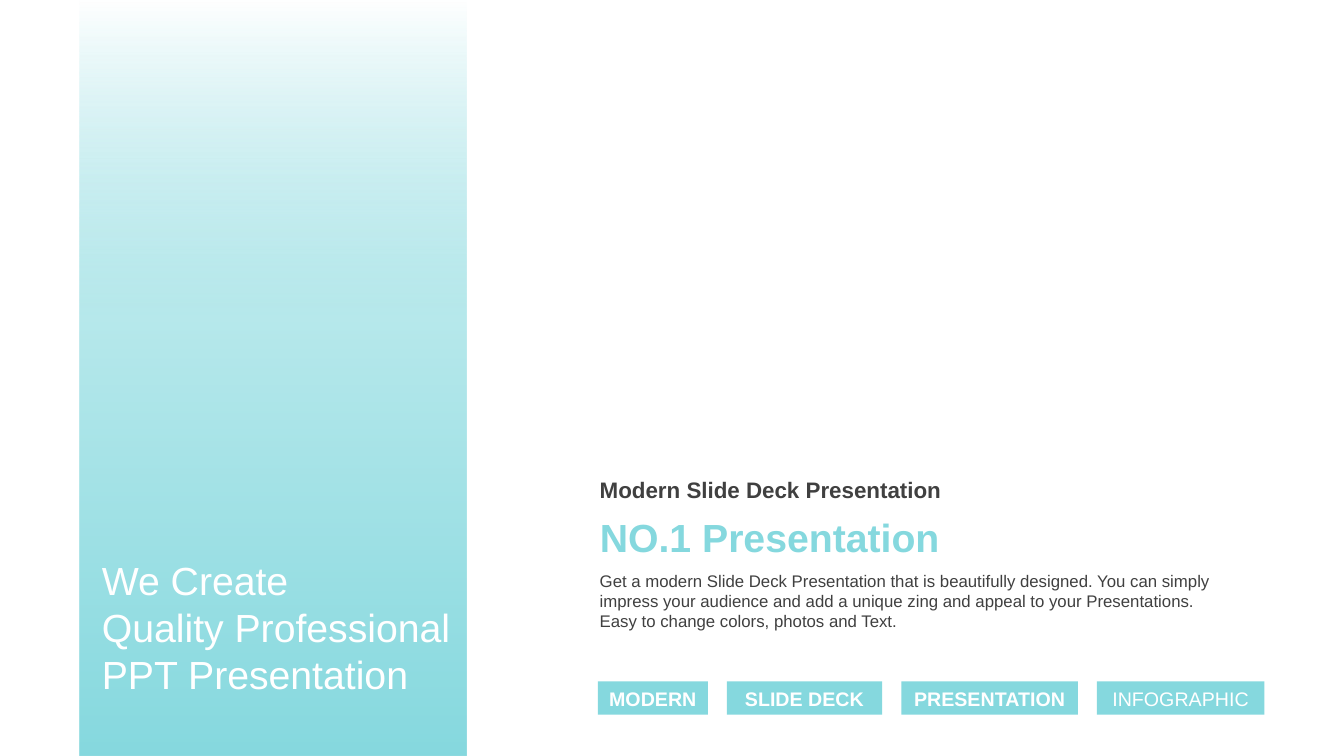
from dataclasses import dataclass

from lxml import etree
from pptx import Presentation
from pptx.dml.color import RGBColor
from pptx.enum.shapes import MSO_SHAPE as Preset
from pptx.enum.text import MSO_ANCHOR as Anchor, MSO_AUTO_SIZE as AutoSize, PP_ALIGN as Align
from pptx.oxml.ns import qn
from pptx.util import Inches, Pt


@dataclass(frozen=True)
class Theme:
    font: str = "Arial"
    accent: str = "85D8DE"
    accent_light: str = "B6E8EB"
    dark: str = "404040"
    white: str = "FFFFFF"
    headline: int = 28
    subtitle: int = 16
    chip: int = 14
    body: int = 12


THEME = Theme()


def write_text(shape, text, *, size, color, bold=False, align=Align.LEFT, anchor=Anchor.TOP,
               insets=(0.1, 0.05, 0.1, 0.05), auto_size=AutoSize.SHAPE_TO_FIT_TEXT,
               line_spacing=1.0, space_before=0):
    """Fill a shape with text, one paragraph per line."""
    frame = shape.text_frame
    frame.text = text
    frame.word_wrap = True
    frame.auto_size = auto_size
    frame.vertical_anchor = anchor
    (frame.margin_left, frame.margin_top,
     frame.margin_right, frame.margin_bottom) = map(Inches, insets)
    for paragraph in frame.paragraphs:
        paragraph.alignment = align
        paragraph.line_spacing = line_spacing
        paragraph.space_before = Pt(space_before)
        font = paragraph.runs[0].font
        font.name = THEME.font
        font.size = Pt(size)
        font.bold = bold
        font.color.rgb = RGBColor.from_string(color)


def add_text(slide, left, top, width, height, text, **text_format):
    box = slide.shapes.add_textbox(*map(Inches, (left, top, width, height)))
    write_text(box, text, **text_format)


def add_block(slide, left, top, width, height):
    block = slide.shapes.add_shape(Preset.RECTANGLE, *map(Inches, (left, top, width, height)))
    block.shadow.inherit = False
    block.fill.solid()
    block.fill.fore_color.rgb = RGBColor.from_string(THEME.accent)
    block.line.fill.background()
    return block


def fade_down(shape, stops):
    """Replace the solid fill by a vertical gradient of (percent, colour, opacity) stops."""
    gradient = etree.Element(qn("a:gradFill"), rotWithShape="1")
    stop_list = etree.SubElement(gradient, qn("a:gsLst"))
    for percent, color, opacity in stops:
        stop = etree.SubElement(stop_list, qn("a:gs"), pos=str(percent * 1000))
        tint = etree.SubElement(stop, qn("a:srgbClr"), val=color)
        if opacity < 100:
            etree.SubElement(tint, qn("a:alpha"), val=str(opacity * 1000))
    etree.SubElement(gradient, qn("a:lin"), ang="5400000", scaled="0")
    properties = shape.element.spPr
    properties.replace(properties.find(qn("a:solidFill")), gradient)


def build_panel(slide, left, top, width, height):
    # Fading band with the claim near its foot
    band = add_block(slide, left, top, width, height)
    fade_down(band, [(0, THEME.accent, 0), (42, THEME.accent_light, 100), (100, THEME.accent, 100)])
    add_text(slide, left + 0.18, top + height - 1.99, width - 0.13, 1.41,
             "We Create\nQuality Professional\nPPT Presentation",
             size=THEME.headline, color=THEME.white, anchor=Anchor.MIDDLE,
             insets=(0.04, 0, 0.04, 0))


def build_intro(slide, left, top, width):
    # Subtitle, title and description, stacked
    add_text(slide, left, top, width, 0.37, "Modern Slide Deck Presentation",
             size=THEME.subtitle, color=THEME.dark, bold=True)
    title = slide.shapes.title
    title.left, title.top, title.width, title.height = map(Inches, (left, top + 0.37, width, 0.57))
    write_text(title, "NO.1 Presentation", size=THEME.headline, color=THEME.accent, bold=True)
    add_text(slide, left, top + 0.94, width, 0.71,
             "Get a modern Slide Deck Presentation that is beautifully designed. "
             "You can simply impress your audience and add a unique zing and appeal "
             "to your Presentations. Easy to change colors, photos and Text.",
             size=THEME.body, color=THEME.dark)


def build_chips(slide, left, top, height, gap=0.19):
    # Row of keyword chips, equal gaps
    chips = [("MODERN", 1.09, True), ("SLIDE DECK", 1.54, True),
             ("PRESENTATION", 1.75, True), ("INFOGRAPHIC", 1.66, False)]
    for label, width, bold in chips:
        chip = add_block(slide, left, top, width, height)
        write_text(chip, label, size=THEME.chip, color=THEME.white, bold=bold,
                   align=Align.CENTER, anchor=Anchor.MIDDLE, insets=(0.1, 0.1, 0.1, 0.05),
                   auto_size=AutoSize.NONE, line_spacing=0.9, space_before=10)
        left += width + gap


def main():
    presentation = Presentation()
    presentation.slide_width = Inches(13.33)
    presentation.slide_height = Inches(7.5)
    slide = presentation.slides.add_slide(presentation.slide_layouts.get_by_name("Title Only"))
    build_panel(slide, 0.79, 0, 3.84, 7.5)
    build_intro(slide, 5.85, 4.67, 6.44)
    build_chips(slide, 5.93, 6.76, 0.33)
    presentation.save("out.pptx")


if __name__ == "__main__":
    main()
